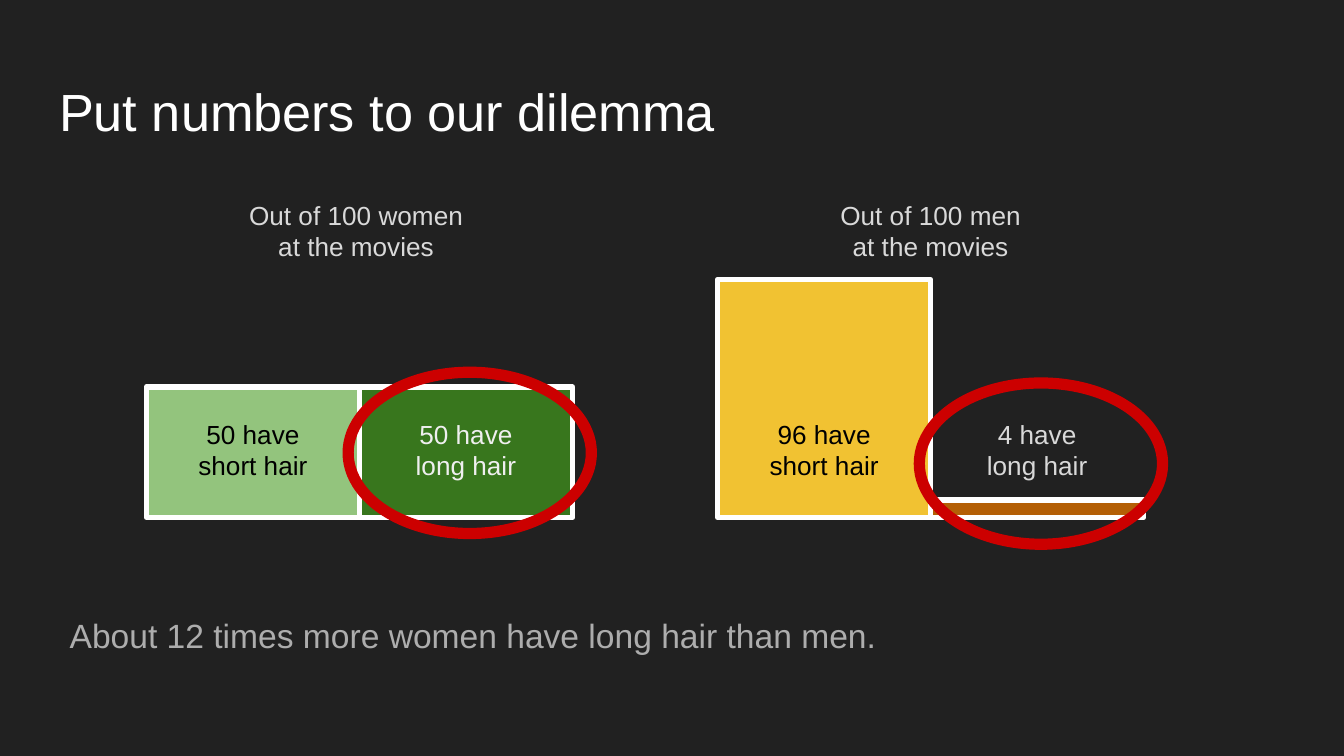
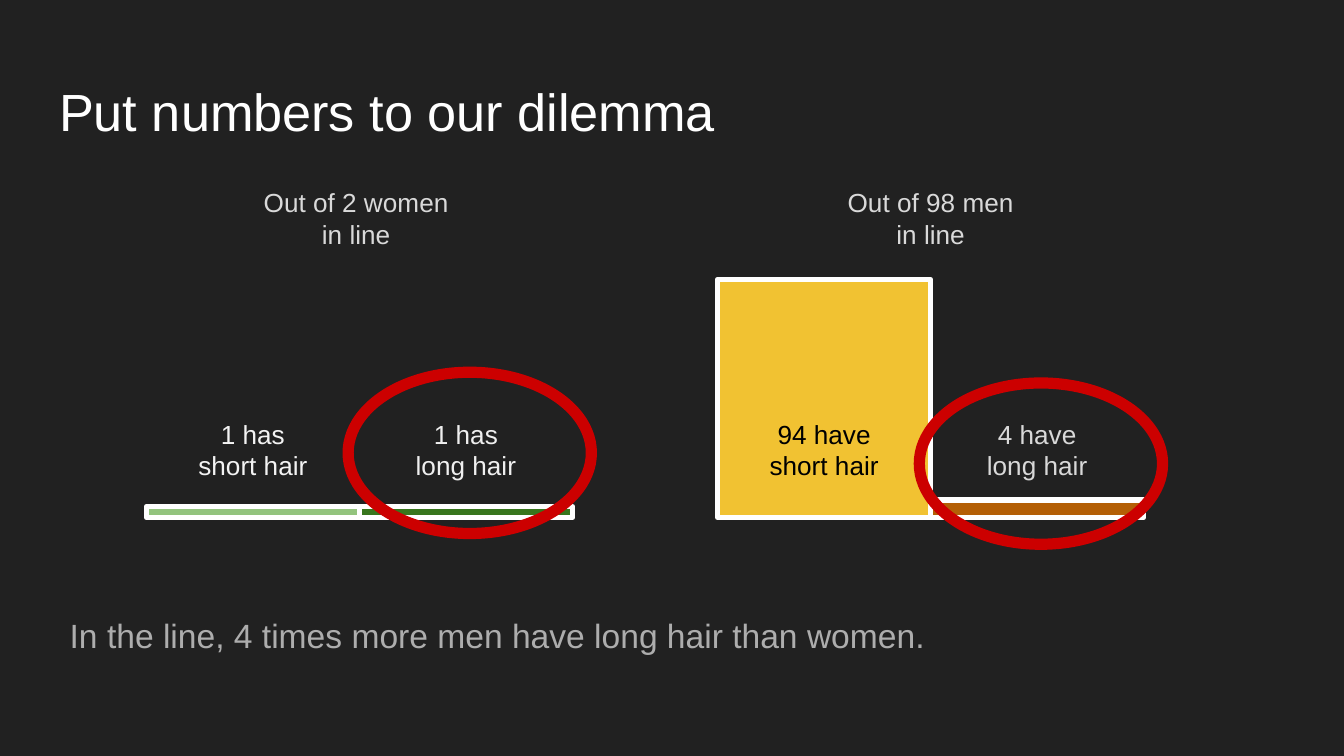
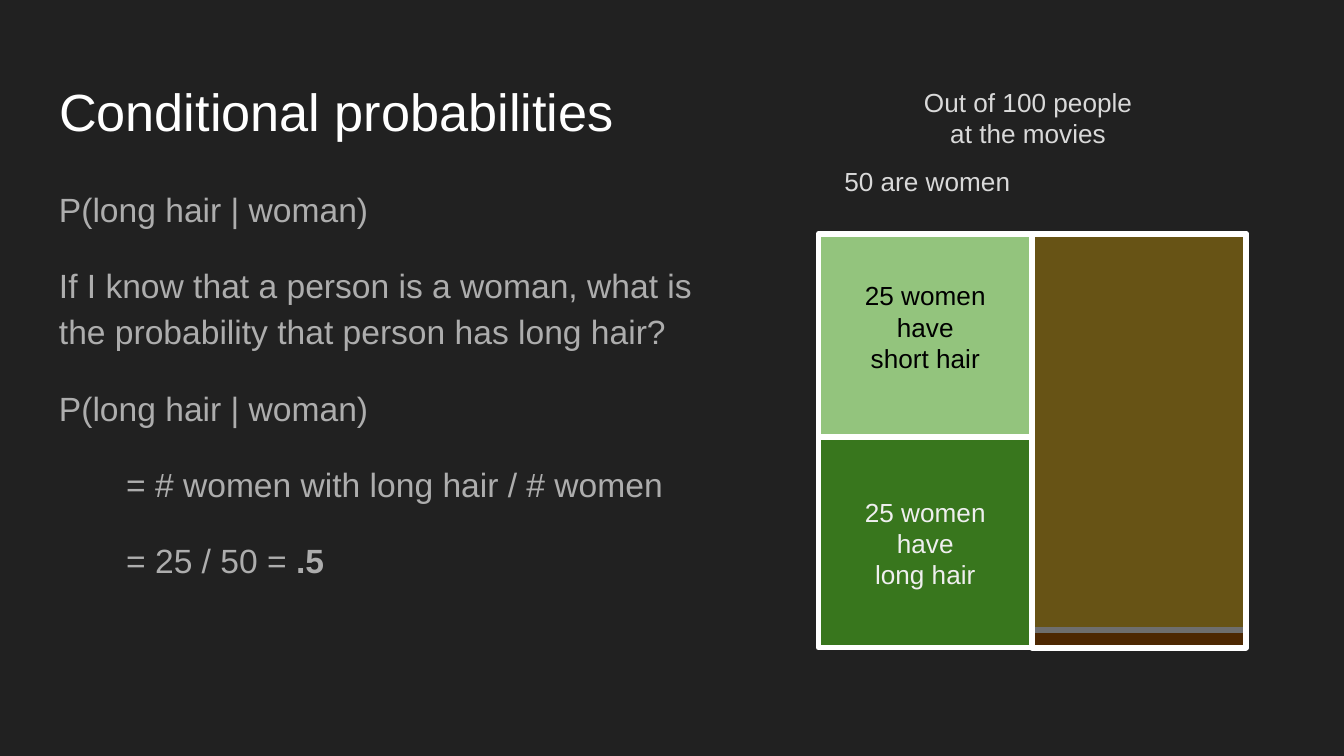
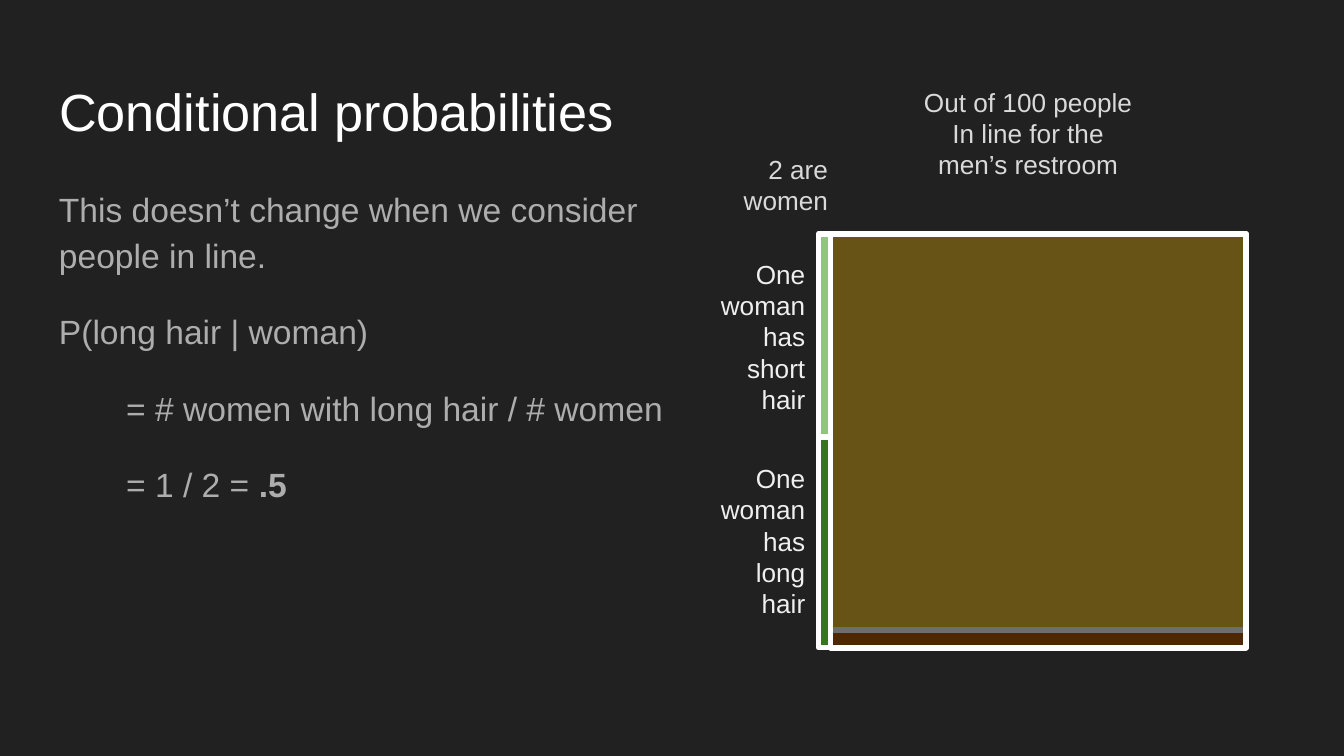
from dataclasses import dataclass

from lxml.etree import SubElement
from pptx import Presentation
from pptx.dml.color import RGBColor as RGB
from pptx.enum.shapes import MSO_SHAPE as SHAPE
from pptx.enum.text import MSO_ANCHOR as ANCHOR, PP_ALIGN as ALIGN
from pptx.oxml.ns import qn
from pptx.util import Inches, Pt


@dataclass(frozen=True)
class Theme:
    font: str = "Arial"
    background: str = "212121"
    white: str = "FFFFFF"
    black: str = "000000"
    body: str = "ADADAD"
    caption: str = "D9D9D9"
    on_dark: str = "EFEFEF"
    on_slide: str = "F3F3F3"
    women_short: str = "93C47D"
    women_long: str = "38761D"
    men_short: str = "F1C232"
    men_long: str = "B45F06"
    ring: str = "CC0000"
    title_size: int = 28
    body_size: int = 18
    label_size: int = 14
    bar_line: int = 3
    ring_line: int = 6
    shade_alpha: int = 57


@dataclass(frozen=True)
class Box:
    x: float
    y: float
    w: float
    h: float

    @property
    def bottom(self):
        return self.y + self.h

    def lengths(self):
        return [Inches(v) for v in (self.x, self.y, self.w, self.h)]


@dataclass(frozen=True)
class Bar:
    height: float
    fill: str
    label: str
    color: str


T = Theme()
TITLE = Box(0.34, 0.49, 9.32, 0.63)
CONCLUSION = Box(0.42, 4.43, 9.32, 0.9)
ARGUMENT = Box(0.34, 1.26, 5.15, 3.74)
WOMEN = Box(1.09, 2.08, 3.17, 1.77)
MEN = Box(5.34, 2.08, 3.17, 1.77)
MOSAIC = Box(6.09, 1.74, 3.18, 3.08)
MOSAIC_HEADING = Box(6.71, 0.54, 1.88, 0.49)
LABEL_W, LABEL_H = 1.73, 0.49
MEN_LONG_H = 0.13


def format_runs(p, size, color):
    for r in p.runs:
        r.font.name = T.font
        r.font.size = Pt(size)
        r.font.color.rgb = RGB.from_string(color)


def prepare_frame(tf):
    tf.word_wrap = True
    tf.vertical_anchor = ANCHOR.TOP
    tf.margin_left = tf.margin_right = Inches(0.1)
    tf.margin_top = tf.margin_bottom = Inches(0.1)


def add_label(s, box, text, color=T.caption, align=ALIGN.CENTER):
    tf = s.shapes.add_textbox(*box.lengths()).text_frame
    prepare_frame(tf)
    tf.text = text
    for p in tf.paragraphs:
        p.alignment = align
        format_runs(p, T.label_size, color)


def add_body(s, box, lines, result=""):
    tf = s.shapes.add_textbox(*box.lengths()).text_frame
    prepare_frame(tf)
    for i, line in enumerate(lines):
        p = tf.add_paragraph() if i else tf.paragraphs[0]
        p.text = line
        p.alignment = ALIGN.LEFT
        p.line_spacing = 1.15
        if i:
            p.space_before = Pt(16)
        if line.startswith("="):
            p._p.get_or_add_pPr().set("indent", str(Inches(0.5)))
    if result:
        r = p.add_run()
        r.text = result
        r.font.bold = True
        p.space_after = Pt(16)
    for p in tf.paragraphs:
        format_runs(p, T.body_size, T.body)


def add_outlined(s, kind, box, line, width, fill=None, alpha=None):
    sp = s.shapes.add_shape(kind, *box.lengths())
    sp.shadow.inherit = False
    sp.line.color.rgb = RGB.from_string(line)
    sp.line.width = Pt(width)
    if fill is None:
        sp.fill.background()
        return
    sp.fill.solid()
    sp.fill.fore_color.rgb = RGB.from_string(fill)
    if alpha is not None:
        color = sp._element.spPr.find(qn("a:solidFill"))[0]
        SubElement(color, qn("a:alpha")).set("val", str(alpha * 1000))


def add_block(s, box, fill, alpha=None):
    add_outlined(s, SHAPE.RECTANGLE, box, T.white, T.bar_line, fill, alpha)


def add_titled_slide(prs, title):
    s = prs.slides.add_slide(prs.slide_layouts[5])
    sp = s.shapes.title
    sp.left, sp.top, sp.width, sp.height = TITLE.lengths()
    tf = sp.text_frame
    prepare_frame(tf)
    tf.text = title
    p = tf.paragraphs[0]
    p.alignment = ALIGN.LEFT
    format_runs(p, T.title_size, T.white)
    return s


def add_bar_pair(s, box, bars, heading, heading_box, ring_rise):
    step = box.w / 2
    for i, bar in enumerate(bars):
        x = box.x + i * step
        add_block(s, Box(x, box.bottom - bar.height, step, bar.height), bar.fill)
    for i, bar in enumerate(bars):
        x = box.x + (i + 0.5) * step - LABEL_W / 2
        add_label(s, Box(x, box.bottom - 0.84, LABEL_W, LABEL_H), bar.label, bar.color)
    ring = Box(box.x + 1.5, box.bottom - ring_rise, 1.81, 1.2)
    add_outlined(s, SHAPE.OVAL, ring, T.ring, T.ring_line)
    add_label(s, heading_box, heading)


def add_comparison_slide(prs, women, men, headings, heading_y, conclusion):
    s = add_titled_slide(prs, "Put numbers to our dilemma")
    add_bar_pair(s, MEN, men, headings[1],
                 Box(MEN.x + 0.72, heading_y, 1.73, LABEL_H), 1.0)
    add_bar_pair(s, WOMEN, women, headings[0],
                 Box(WOMEN.x + 0.62, heading_y, 1.88, LABEL_H), 1.08)
    add_body(s, CONCLUSION, [conclusion])


def add_mosaic(s, box, women_w):
    women_short_h = 1.51
    men_x, men_w = box.x + women_w, box.w - women_w
    men_short_h = box.h - MEN_LONG_H
    add_block(s, Box(men_x, box.y, men_w, men_short_h), T.men_short)
    add_block(s, Box(men_x, box.y + men_short_h, men_w, MEN_LONG_H), T.men_long)
    add_block(s, Box(box.x, box.y, women_w, women_short_h), T.women_short)
    add_block(s, Box(box.x, box.y + women_short_h, women_w, box.h - women_short_h),
              T.women_long)
    add_block(s, Box(men_x, box.y, men_w, box.h), T.black, T.shade_alpha)


def add_probability_slide(prs, lines, women_w, heading, labels):
    s = add_titled_slide(prs, "Conditional probabilities")
    add_body(s, ARGUMENT, lines, ".5")
    add_mosaic(s, MOSAIC, women_w)
    add_label(s, MOSAIC_HEADING, heading)
    for dx, dy, w, text, color, align in labels:
        add_label(s, Box(MOSAIC.x + dx, MOSAIC.y + dy, w, LABEL_H), text, color, align)


def men_bars(short_count):
    return [Bar(1.77, T.men_short, f"{short_count} have\nshort hair", T.black),
            Bar(MEN_LONG_H, T.men_long, "4 have\nlong hair", T.caption)]


def women_bars(height, count, short_color):
    return [Bar(height, T.women_short, f"{count}\nshort hair", short_color),
            Bar(height, T.women_long, f"{count}\nlong hair", T.on_dark)]


def main():
    prs = Presentation()
    prs.slide_width = Inches(10)
    prs.slide_height = prs.slide_width * 9 // 16
    fill = prs.slide_master.background.fill
    fill.solid()
    fill.fore_color.rgb = RGB.from_string(T.background)

    add_comparison_slide(
        prs, women_bars(0.97, "50 have", T.black), men_bars(96),
        ["Out of 100 women at the movies", "Out of 100 men at the movies"], 1.38,
        "About 12 times more women have long hair than men.")
    add_comparison_slide(
        prs, women_bars(0.08, "1 has", T.on_slide), men_bars(94),
        ["Out of 2 women\nin line", "Out of 98 men\nin line"], 1.29,
        "In the line, 4 times more men have long hair than women.")

    question = "P(long hair | woman)"
    ratio = "= # women with long hair / # women"
    add_probability_slide(
        prs,
        [question,
         "If I know that a person is a woman, what is the probability "
         "that person has long hair?",
         question, ratio, "= 25 / 50 = "],
        1.59, "Out of 100 people at the movies",
        [(-0.13, -0.61, 1.88, "50 are women", T.caption, ALIGN.CENTER),
         (-0.07, 0.24, LABEL_W, "25 women\nhave\nshort hair", T.black, ALIGN.CENTER),
         (-0.07, 1.85, LABEL_W, "25 women\nhave\nlong hair", T.on_dark, ALIGN.CENTER)])
    add_probability_slide(
        prs,
        ["This doesn’t change when we consider people in line.",
         question, ratio, "= 1 / 2 = "],
        0.09, "Out of 100 people\nIn line for the men’s restroom",
        [(-1.71, -0.7, 1.88, "2 are\nwomen", T.caption, ALIGN.RIGHT),
         (-0.95, 0.08, 0.95, "One\nwoman\nhas\nshort\nhair", T.on_dark, ALIGN.RIGHT),
         (-0.95, 1.6, 0.95, "One\nwoman\nhas\nlong\nhair", T.on_dark, ALIGN.RIGHT)])
    prs.save("out.pptx")


if __name__ == "__main__":
    main()
